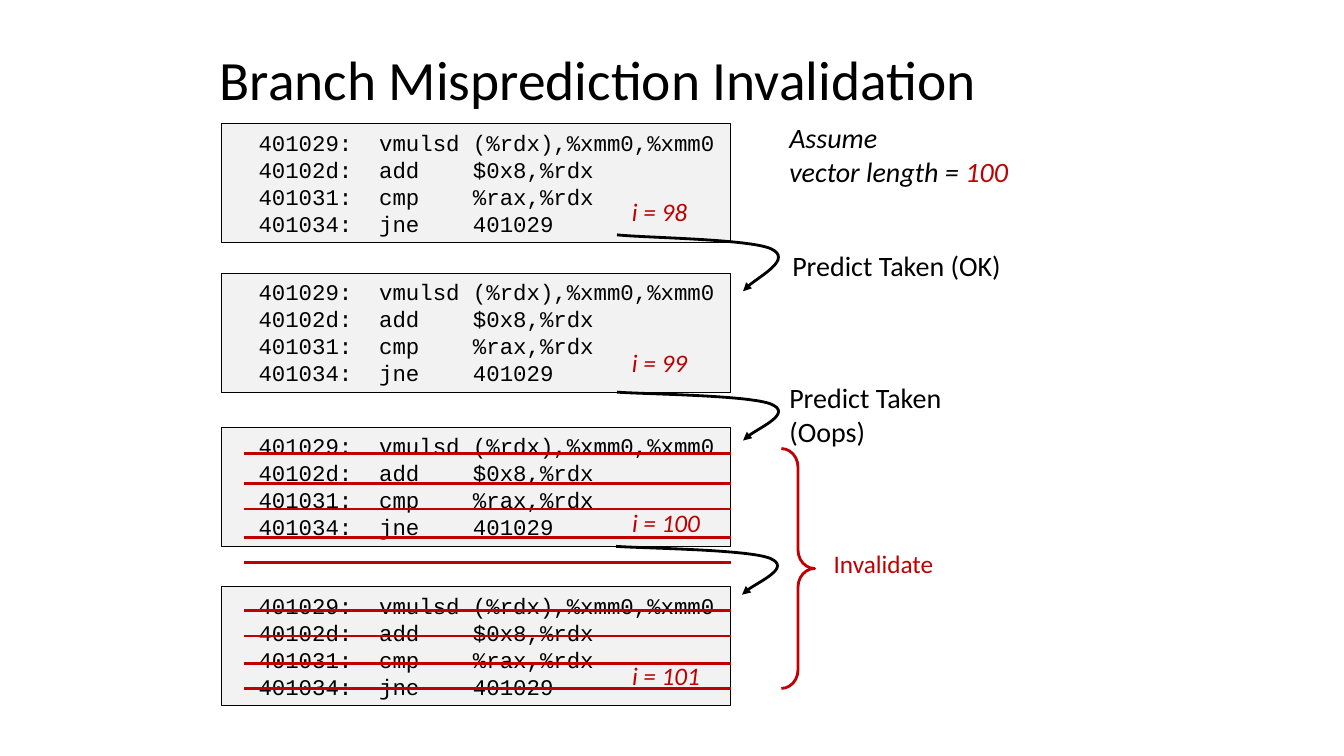
from lxml.etree import SubElement
from pptx import Presentation
from pptx.dml.color import RGBColor
from pptx.enum.shapes import MSO_CONNECTOR as Connector, MSO_SHAPE as Shape
from pptx.enum.text import MSO_ANCHOR as Anchor, MSO_AUTO_SIZE as AutoSize, PP_ALIGN as Align
from pptx.oxml.ns import qn
from pptx.util import Pt

PX = 9144
BLACK = RGBColor(0x00, 0x00, 0x00)
RED = RGBColor(0xC0, 0x00, 0x00)
PALE_GRAY = RGBColor(0xF2, 0xF2, 0xF2)

CODE = """  401029:  vmulsd (%rdx),%xmm0,%xmm0
  40102d:  add    $0x8,%rdx
  401031:  cmp    %rax,%rdx
  401034:  jne    401029"""
ITERATIONS = [(98, 123, 190, 76), (99, 271, 340, 76), (100, 424, 498, 89), (101, 582, 650, 89)]
BRANCHES = [(612, 233, 56), (612, 389, 48), (611, 542, 48)]
BRANCH_CURVE = [(26, 5), (132, 7), (153, 25), (174, 43), (131, 84), (125, 100)]
STRIKES = [450, 480, 505, 533, 558, 606, 631, 658, 683]


class SlideBuilder:
    text_font = "Calibri"
    code_font = "Courier New"
    stroke = Pt(2)

    def __init__(self, slide):
        self.slide = slide
        self.shapes = slide.shapes

    def place(self, shape, left, top, width, height):
        shape.left, shape.top = left * PX, top * PX
        shape.width, shape.height = width * PX, height * PX

    def format_text(self, shape, text, size, font, color, italic=False, wrap=False):
        frame = shape.text_frame
        frame.text = text
        frame.word_wrap = wrap
        for paragraph in frame.paragraphs:
            paragraph.alignment = Align.LEFT
            for run in paragraph.runs:
                run.font.size = Pt(size)
                run.font.name = font
                run.font.italic = italic
                run.font.color.rgb = color
        return frame

    def outline(self, shape, color, width):
        shape.shadow.inherit = False
        shape.line.color.rgb = color
        shape.line.width = width

    def title(self, text, left, top, width, height):
        shape = self.shapes.title
        self.place(shape, left, top, width, height)
        frame = self.format_text(shape, text, 39.6, self.text_font, BLACK, wrap=True)
        frame.vertical_anchor = Anchor.MIDDLE
        frame.auto_size = AutoSize.NONE
        frame.paragraphs[0].line_spacing = 0.9

    def label(self, text, left, top, width, height, size=20, color=BLACK, italic=False):
        shape = self.shapes.add_textbox(left * PX, top * PX, width * PX, height * PX)
        frame = self.format_text(shape, text, size, self.text_font, color, italic)
        frame.auto_size = AutoSize.SHAPE_TO_FIT_TEXT
        return frame

    def code(self, text, left, top, width, height):
        shape = self.shapes.add_shape(
            Shape.RECTANGLE, left * PX, top * PX, width * PX, height * PX)
        shape.fill.solid()
        shape.fill.fore_color.rgb = PALE_GRAY
        self.outline(shape, BLACK, Pt(0.75))
        frame = self.format_text(shape, text, 16, self.code_font, BLACK)
        frame.vertical_anchor = Anchor.TOP
        for paragraph in frame.paragraphs:
            paragraph.line_spacing = Pt(19.3)

    def branch(self, left, top, height):
        points = [(left + x, top + round(height * y / 100)) for x, y in BRANCH_CURVE]
        builder = self.shapes.build_freeform(left, top, scale=PX)
        builder.add_line_segments(points, close=False)
        shape = builder.convert_to_shape()
        shape.fill.background()
        self.outline(shape, BLACK, self.stroke)
        outline_path = next(shape.element.iter(qn("a:path")))
        segments = outline_path.findall(qn("a:lnTo"))
        for start in range(0, len(segments), 3):
            curve = SubElement(outline_path, qn("a:cubicBezTo"))
            for segment in segments[start:start + 3]:
                curve.append(segment[0])
                outline_path.remove(segment)
        SubElement(shape.line._get_or_add_ln(), qn("a:tailEnd"), type="triangle")

    def strike(self, left, right, y):
        connector = self.shapes.add_connector(
            Connector.STRAIGHT, left * PX, y * PX, right * PX, y * PX)
        connector.line.color.rgb = RED
        connector.line.width = self.stroke
        SubElement(connector.element.spPr, qn("a:effectLst"))

    def brace(self, left, top, width, height):
        shape = self.shapes.add_shape(
            Shape.RIGHT_BRACE, left * PX, top * PX, width * PX, height * PX)
        shape.adjustments[0] = 0.56
        shape.fill.background()
        self.outline(shape, RED, self.stroke)


def main():
    presentation = Presentation()
    presentation.slide_width = 1333 * PX
    presentation.slide_height = 750 * PX
    builder = SlideBuilder(presentation.slides.add_slide(presentation.slide_layouts[5]))

    builder.title("Branch Misprediction Invalidation", 208, 50, 869, 63)
    for _, top, _, _ in ITERATIONS:
        builder.code(CODE, 220, top, 505, 118)
    for left, top, height in BRANCHES:
        builder.branch(left, top, height)
    for index, _, top, width in ITERATIONS:
        builder.label(f"i = {index}", 617, top, width, 40, 18, RED, italic=True)

    assumption = builder.label("Assume\nvector length = ", 773, 115, 243, 77, italic=True)
    length = assumption.paragraphs[1].add_run()
    length.text = "100"
    length.font.size = Pt(20)
    length.font.name = builder.text_font
    length.font.italic = True
    length.font.color.rgb = RED
    builder.label("Predict Taken (OK)", 776, 242, 234, 44)
    builder.label("Predict Taken\n(Oops)", 773, 373, 176, 77)
    builder.label("Invalidate", 817, 539, 120, 40, 18, RED)

    for y in STRIKES:
        builder.strike(242, 725, y)
    builder.brace(775, 445, 33, 238)
    presentation.save("out.pptx")


if __name__ == "__main__":
    main()
